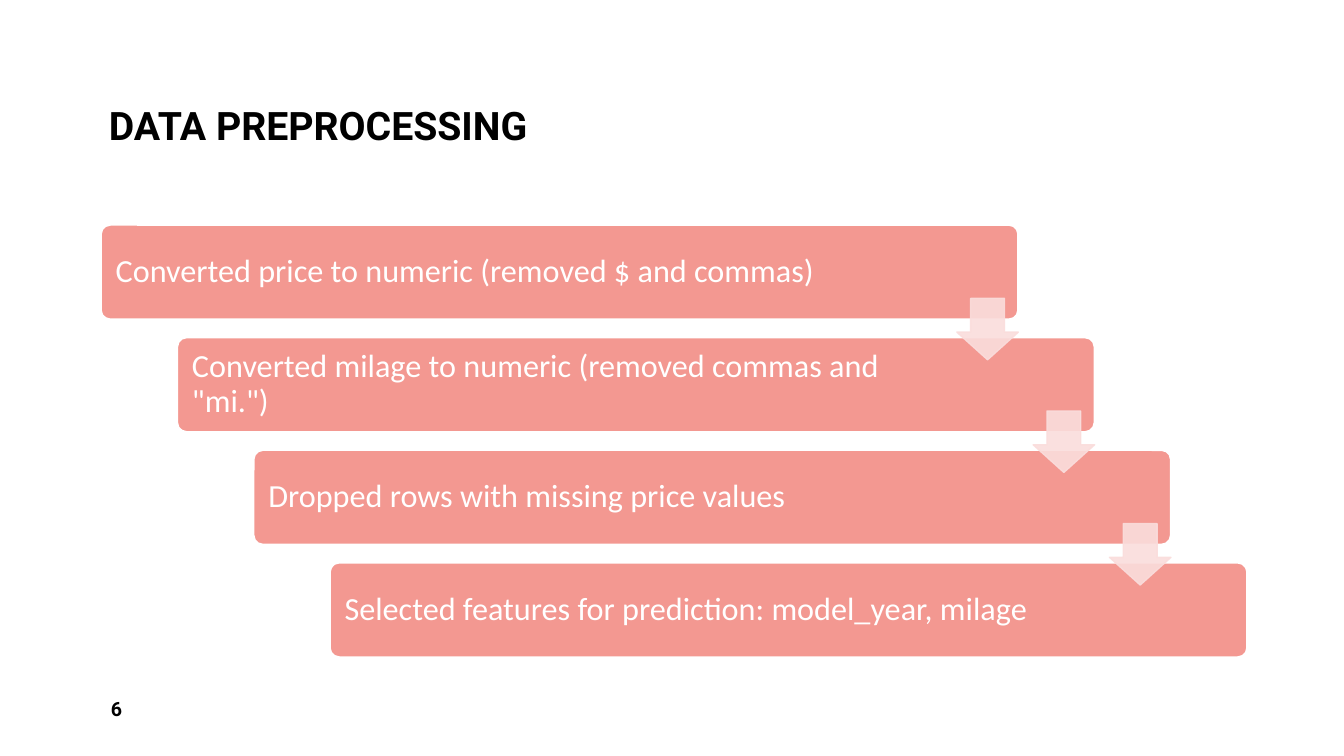
from pptx import Presentation
from pptx.dml.color import RGBColor
from pptx.enum.shapes import MSO_SHAPE
from pptx.enum.text import MSO_ANCHOR, MSO_AUTO_SIZE, PP_ALIGN
from pptx.oxml.ns import qn
from pptx.util import Inches, Pt
from lxml.etree import SubElement

BLACK = RGBColor(0x00, 0x00, 0x00)
WHITE = RGBColor(0xFF, 0xFF, 0xFF)
CORAL = RGBColor(0xF3, 0x98, 0x91)
BLUSH = RGBColor(0xFA, 0xDD, 0xDC)

STEPS = [
    "Converted price to numeric (removed $ and commas)",
    'Converted milage to numeric (removed commas and "mi.")',
    "Dropped rows with missing price values",
    "Selected features for prediction: model_year, milage",
]
FIRST_LEFT, FIRST_TOP = 1.0, 2.23
STEP_RIGHT, STEP_DOWN = 0.757, 1.117
STEP_WIDTH, STEP_HEIGHT = 9.1, 0.94
ARROW_SIZE, ARROW_DROP = 0.61, 0.73


def write(frame, text, *, font, size, color, bold=False,
          anchor=MSO_ANCHOR.MIDDLE, spacing=1.0):
    frame.word_wrap = True
    frame.auto_size = MSO_AUTO_SIZE.NONE
    frame.vertical_anchor = anchor
    paragraph = frame.paragraphs[0]
    paragraph.alignment = PP_ALIGN.LEFT
    paragraph.line_spacing = spacing
    run = paragraph.add_run()
    run.text = text
    run.font.name = font
    run.font.size = Pt(size)
    run.font.bold = bold
    run.font.color.rgb = color


class StaircaseSlide:
    heading_font = "Roboto"
    step_font = "Calibri"

    def __init__(self, deck):
        self.slide = deck.slides.add_slide(deck.slide_layouts[5])

    def heading(self, text):
        title = self.slide.shapes.title
        title.left, title.top = Inches(0.98), Inches(0.08)
        title.width, title.height = Inches(11.38), Inches(1.45)
        write(title.text_frame, text, font=self.heading_font, size=28,
              color=BLACK, bold=True, anchor=MSO_ANCHOR.BOTTOM, spacing=0.9)

    def page_number(self, text):
        number = self.slide.shapes.add_textbox(
            Inches(1), Inches(6.83), Inches(2.92), Inches(0.4))
        write(number.text_frame, text, font=self.heading_font, size=14,
              color=BLACK, bold=True)

    def block(self, preset, left, top, width, height, fill, line, line_width):
        block = self.slide.shapes.add_shape(
            preset, Inches(left), Inches(top), Inches(width), Inches(height))
        block.shadow.inherit = False
        block.fill.solid()
        block.fill.fore_color.rgb = fill
        block.line.color.rgb = line
        block.line.width = Pt(line_width)
        return block

    def step(self, text, left, top):
        step = self.block(MSO_SHAPE.ROUNDED_RECTANGLE, left, top,
                          STEP_WIDTH, STEP_HEIGHT, CORAL, WHITE, 1.5)
        step.adjustments[0] = 0.1
        frame = step.text_frame
        frame.margin_left, frame.margin_right = Inches(0.12), Inches(1.5)
        write(frame, text, font=self.step_font, size=23, color=WHITE,
              spacing=0.9)

    def arrow(self, left, top):
        arrow = self.block(MSO_SHAPE.DOWN_ARROW, left, top,
                           ARROW_SIZE, ARROW_SIZE, BLUSH, BLUSH, 1)
        arrow.adjustments[0] = 0.45
        arrow.adjustments[1] = 0.45
        arrow.adjustments[0] = 0.55
        for color in arrow.element.spPr.iter(qn("a:srgbClr")):
            SubElement(color, qn("a:alpha"), val="90000")


def main():
    deck = Presentation()
    deck.slide_width, deck.slide_height = Inches(13.33), Inches(7.5)
    page = StaircaseSlide(deck)
    page.heading("DATA PREPROCESSING")
    page.page_number("6")
    corners = [(FIRST_LEFT + i * STEP_RIGHT, FIRST_TOP + i * STEP_DOWN)
               for i in range(len(STEPS))]
    for text, (left, top) in zip(STEPS, corners):
        page.step(text, left, top)
    for left, top in corners[:-1]:
        page.arrow(left + STEP_WIDTH - ARROW_SIZE, top + ARROW_DROP)
    deck.save("out.pptx")


if __name__ == "__main__":
    main()
